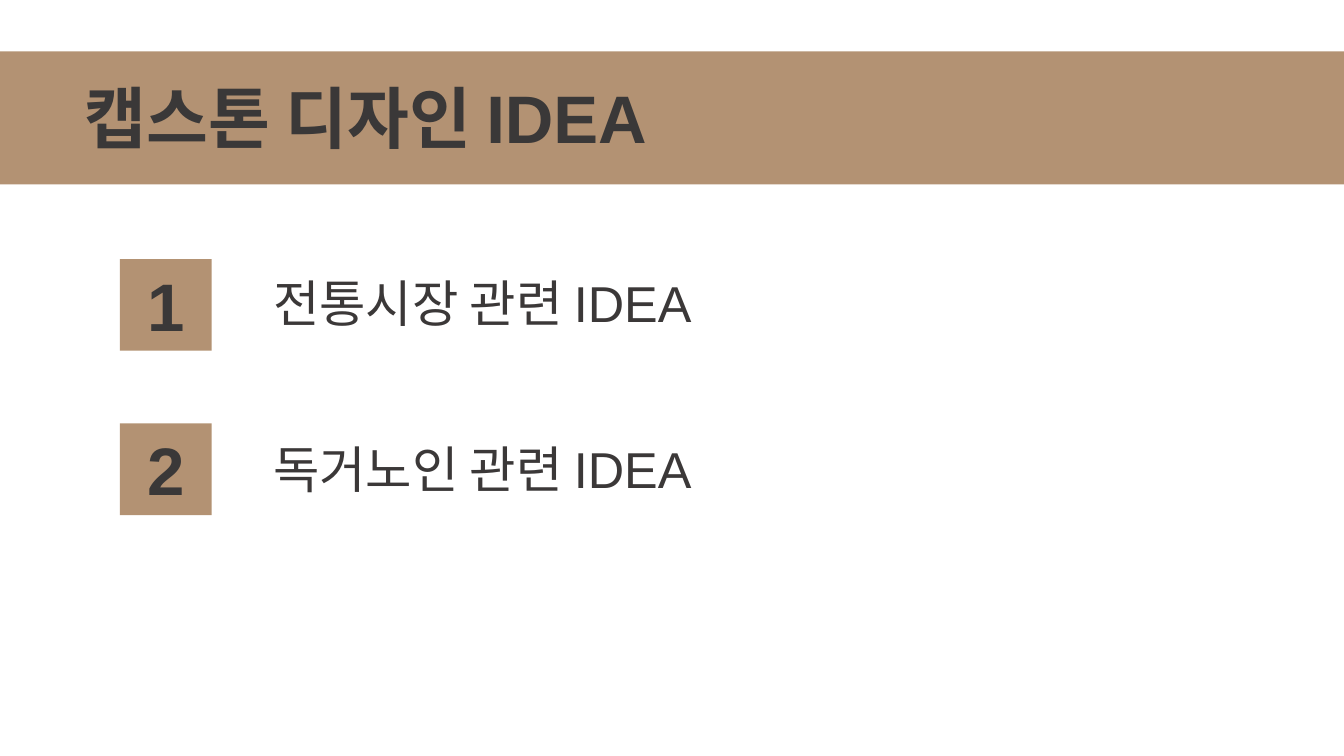
import pptx
import pptx.dml.color
import pptx.enum.shapes
import pptx.enum.text
import pptx.util

Inches = pptx.util.Inches
TAN = pptx.dml.color.RGBColor(0xB3, 0x92, 0x73)
DARK = pptx.dml.color.RGBColor(0x3A, 0x38, 0x38)
BODY = pptx.dml.color.RGBColor(0x3B, 0x38, 0x38)

HEADING = {"size": pptx.util.Pt(48), "bold": True, "name": "Arial"}
LABEL = {"size": pptx.util.Pt(36), "bold": False, "name": "Arial"}
SQUARE = 0.91
IDEAS = [
    ("전통시장 관련 IDEA", 2.57, 2.65),
    ("독거노인 관련 IDEA", 4.2, 4.3),
]


def add_block(slide, left, top, width, height):
    block = slide.shapes.add_shape(
        pptx.enum.shapes.MSO_SHAPE.RECTANGLE,
        Inches(left), Inches(top), Inches(width), Inches(height))
    block.shadow.inherit = False
    block.fill.solid()
    block.fill.fore_color.rgb = TAN
    block.line.fill.background()


def write_text(shape, text, font_format, color, wrap):
    frame = shape.text_frame
    frame.word_wrap = wrap
    frame.auto_size = pptx.enum.text.MSO_AUTO_SIZE.SHAPE_TO_FIT_TEXT
    frame.vertical_anchor = pptx.enum.text.MSO_ANCHOR.TOP
    paragraph = frame.paragraphs[0]
    paragraph.alignment = pptx.enum.text.PP_ALIGN.LEFT
    run = paragraph.add_run()
    run.text = text
    for name, value in font_format.items():
        setattr(run.font, name, value)
    run.font.color.rgb = color


def add_text(slide, text, left, top, width, height, font_format, color, wrap):
    box = slide.shapes.add_textbox(
        Inches(left), Inches(top), Inches(width), Inches(height))
    write_text(box, text, font_format, color, wrap)


def add_title(slide, text):
    """Place the title in front of the band that is already on the slide."""
    title = slide.shapes.title
    slide.shapes._spTree.append(title._element)
    title.left, title.top = Inches(0.74), Inches(0.71)
    title.width, title.height = Inches(6.22), Inches(0.91)
    write_text(title, text, HEADING, DARK, False)


def add_idea(slide, number, text, square_top, label_top):
    add_block(slide, 1.19, square_top, SQUARE, SQUARE)
    add_text(slide, str(number), 1.36, square_top, 0.58, SQUARE,
             HEADING, DARK, False)
    add_text(slide, text, 2.61, label_top, 5.24, 0.71, LABEL, BODY, True)


def main():
    presentation = pptx.Presentation()
    presentation.slide_width = Inches(13.33)
    presentation.slide_height = Inches(7.5)
    slide = presentation.slides.add_slide(presentation.slide_layouts[5])
    add_block(slide, 0, 0.51, 13.33, 1.32)
    add_title(slide, "캡스톤 디자인 IDEA")
    for number, (text, square_top, label_top) in enumerate(IDEAS, start=1):
        add_idea(slide, number, text, square_top, label_top)
    presentation.save("out.pptx")


if __name__ == "__main__":
    main()
